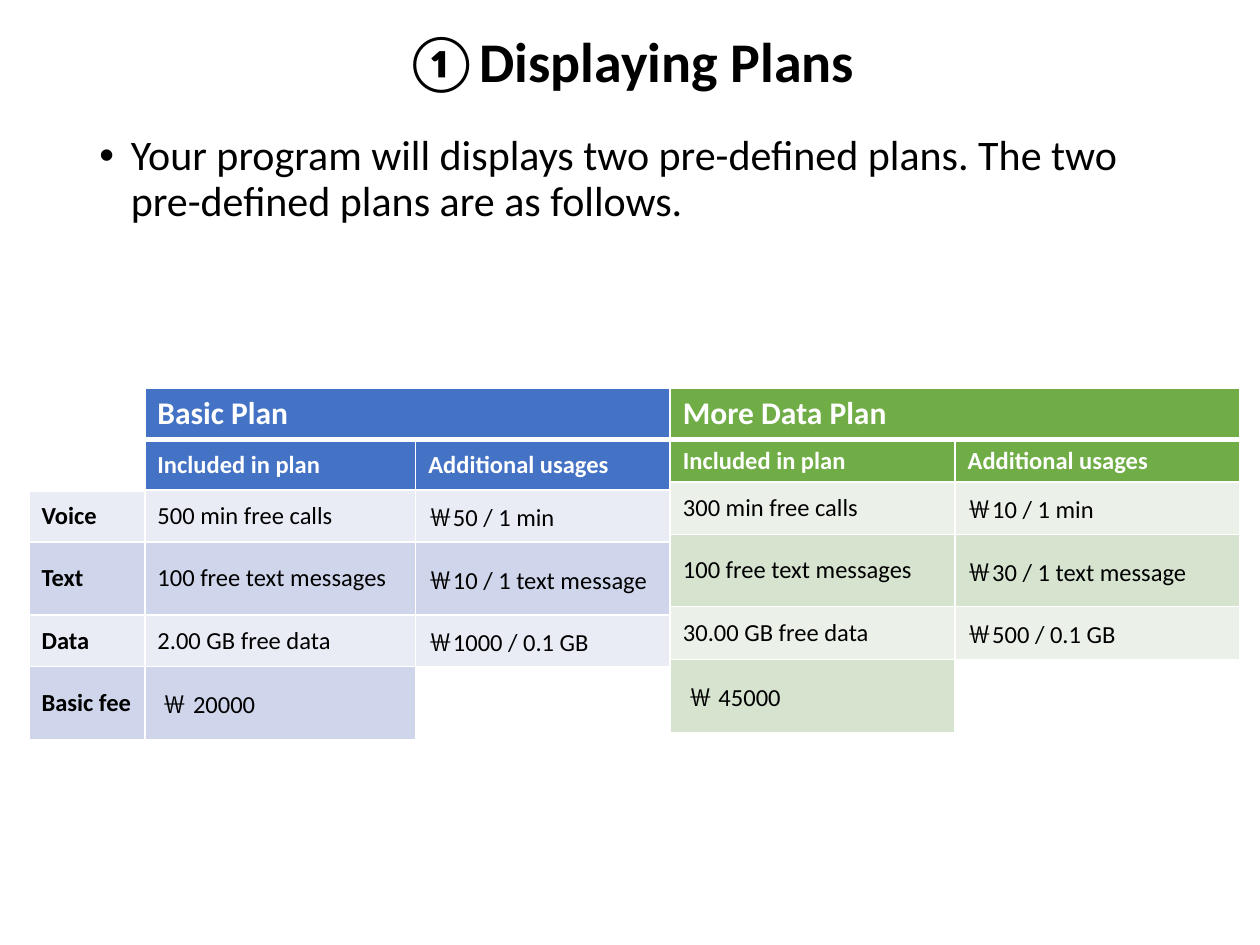
"""Build the Displaying Plans slide with its two plan tables."""
from lxml.etree import SubElement
from pptx import Presentation
from pptx.dml.color import RGBColor
from pptx.enum.text import MSO_ANCHOR, PP_ALIGN
from pptx.oxml import parse_xml
from pptx.oxml.ns import nsdecls, qn
from pptx.util import Inches, Pt

COLORS = {
    "black": "000000", "white": "FFFFFF",
    "blue": "4472C4", "blue_light": "E9EBF5", "blue_mid": "CFD5EA",
    "green": "70AD47", "green_light": "EBF1E9", "green_mid": "D5E3CF",
}


def write(tf, text, size=14, color="black", bold=False, align=None,
          anchor=MSO_ANCHOR.MIDDLE):
    tf.word_wrap = True
    tf.vertical_anchor = anchor
    p = tf.paragraphs[0]
    p.alignment = align
    r = p.add_run()
    r.text = text
    r.font.name = "Calibri"
    r.font.size = Pt(size)
    r.font.bold = bold
    r.font.color.rgb = RGBColor.from_string(COLORS[color])
    return p


def style_cell(cell, fill, bottom):
    cell.fill.solid()
    cell.fill.fore_color.rgb = RGBColor.from_string(COLORS[fill])
    tcPr = cell._tc.get_or_add_tcPr()
    for i, side in enumerate("LRTB"):
        width = Pt(bottom if side == "B" else 1)
        tcPr.insert(i, parse_xml(
            f'<a:ln{side} {nsdecls("a")} w="{width}"><a:solidFill>'
            f'<a:srgbClr val="{COLORS["white"]}"/></a:solidFill></a:ln{side}>'))


prs = Presentation()
prs.slide_width, prs.slide_height = Inches(10), Inches(7.5)
s = prs.slides.add_slide(prs.slide_layouts[6])

texts = [
    ((0, 0, 10, 1.02), "Displaying Plans", 0.56, 0, "buAutoNum", {"type": "circleNumDbPlain"},
     dict(size=32, bold=True, align=PP_ALIGN.CENTER)),
    ((0.69, 1.02, 8.62, 4.76),
     "Your program will displays two pre-defined plans. The two pre-defined plans are as follows.",
     0.25, 10, "buChar", {"char": "•"}, dict(size=24, anchor=MSO_ANCHOR.TOP)),
]
for box, text, indent, before, bullet, attrs, fmt in texts:
    tf = s.shapes.add_textbox(*map(Inches, box)).text_frame
    p = write(tf, text, **fmt)
    p.line_spacing = 0.9
    p.space_before = Pt(before)
    pPr = p._p.get_or_add_pPr()
    pPr.set("marL", str(Inches(indent)))
    pPr.set("indent", str(-Inches(indent)))
    if bullet == "buChar":
        SubElement(pPr, qn("a:buFont"), typeface="Arial")
    SubElement(pPr, qn(f"a:{bullet}"), attrs)

plans = [
    (0.23, "blue", [0.92, 2.15, 2.02], [0.41, 0.34, 0.41, 0.58, 0.41, 0.58], [
        ["", "Basic Plan", ""],
        ["", "Included in plan", "Additional usages"],
        ["Voice", "500 min free calls", "￦50 / 1 min"],
        ["Text", "100 free text messages", "￦10 / 1 text message"],
        ["Data", "2.00 GB free data", "￦1000 / 0.1 GB"],
        ["Basic fee", " ￦ 20000", ""],
    ]),
    (5.32, "green", [2.26, 2.26], [0.41, 0.33, 0.42, 0.57, 0.42, 0.58], [
        ["More Data Plan", ""],
        ["Included in plan", "Additional usages"],
        ["300 min free calls", "￦10 / 1 min"],
        ["100 free text messages", "￦30 / 1 text message"],
        ["30.00 GB free data", "￦500 / 0.1 GB"],
        [" ￦ 45000", ""],
    ]),
]
for left, hue, widths, heights, rows in plans:
    table = s.shapes.add_table(
        len(rows), len(widths), Inches(left), Inches(3.08),
        Inches(sum(widths)), Inches(sum(heights))).table
    for column, width in zip(table.columns, widths):
        column.width = Inches(width)
    for row, height in zip(table.rows, heights):
        row.height = Inches(height)
    labels = len(widths) - 2
    for i, row in enumerate(rows):
        for j, text in enumerate(row):
            cell = table.cell(i, j)
            header = i < 2
            band = hue if header else f"{hue}_{'mid' if i % 2 else 'light'}"
            spanned = i == 0 and j > labels
            style_cell(cell, band if text or spanned else "white", 3 if i == 0 else 1)
            cell.vertical_anchor = MSO_ANCHOR.MIDDLE
            if text:
                write(cell.text_frame, text, size=18 if i == 0 else 14,
                      color="white" if header else "black", bold=header or j < labels)
    table.cell(0, labels).merge(table.cell(0, labels + 1))
    if labels:
        table.cell(0, 0).merge(table.cell(1, 0))

prs.save("out.pptx")
